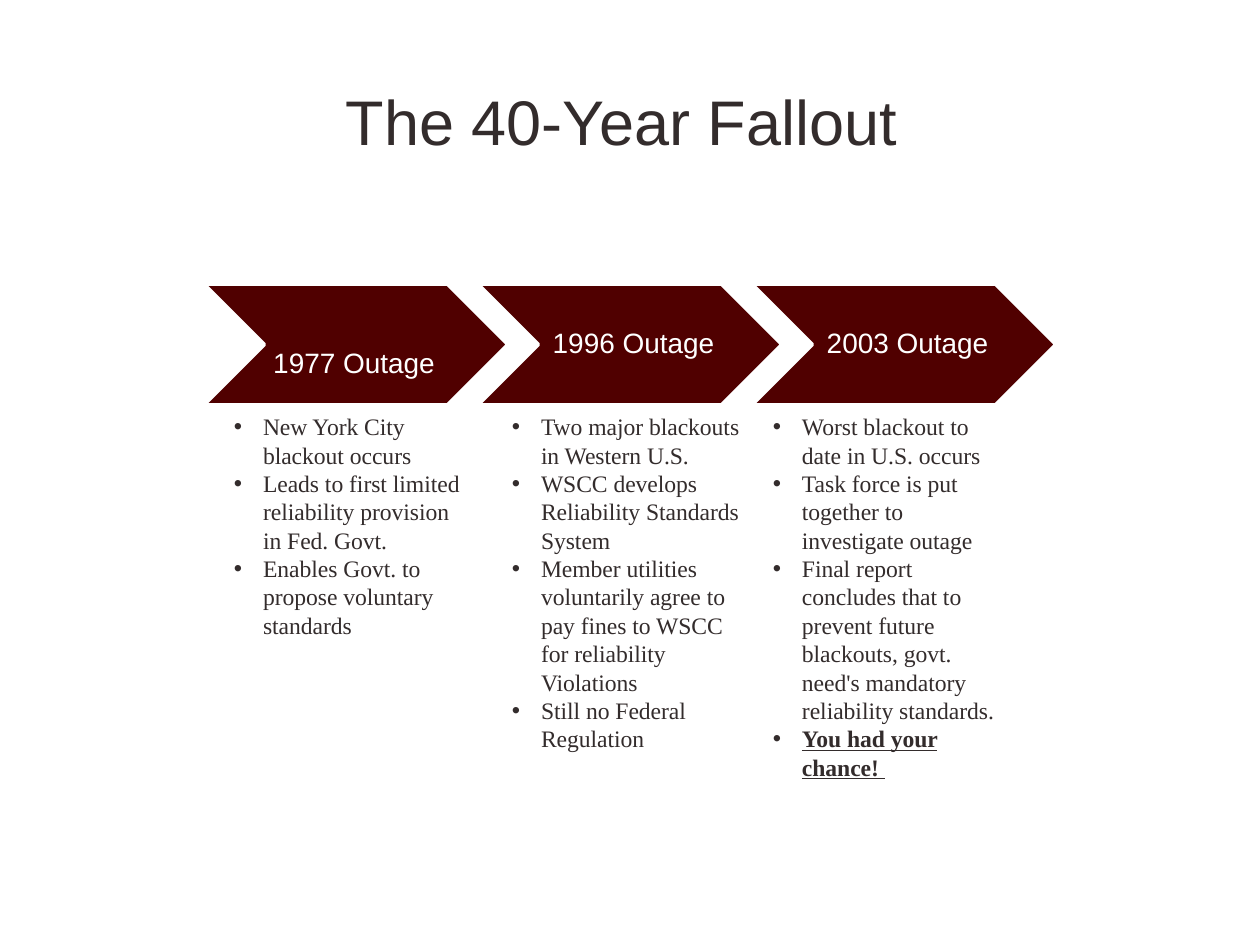
from pptx import Presentation
from pptx.dml.color import RGBColor
from pptx.enum.shapes import MSO_SHAPE
from pptx.enum.text import MSO_ANCHOR, PP_ALIGN
from pptx.util import Emu, Pt
from lxml import etree

PX = 914400 // 126
INK = RGBColor(0x33, 0x2C, 0x2C)
MAROON = RGBColor(0x50, 0x00, 0x00)
WHITE = RGBColor(0xFF, 0xFF, 0xFF)
CHEVRON = MSO_SHAPE.CHEVRON
TOP, MIDDLE = MSO_ANCHOR.TOP, MSO_ANCHOR.MIDDLE
LEFT, CENTER = PP_ALIGN.LEFT, PP_ALIGN.CENTER
NS = "{http://schemas.openxmlformats.org/drawingml/2006/main}"


def px(*lengths):
    return [Emu(n * PX) for n in lengths]


def add_text(box, lines, size, font="Arial", color=INK, align=CENTER,
             anchor=MIDDLE, insets=(13, 6, 13, 6), spacing=None,
             indent=0, strong=""):
    tf = slide.shapes.add_textbox(*px(*box)).text_frame
    tf.word_wrap = True
    tf.vertical_anchor = anchor
    (tf.margin_left, tf.margin_top,
     tf.margin_right, tf.margin_bottom) = px(*insets)
    for i, line in enumerate(lines):
        p = tf.paragraphs[0] if i == 0 else tf.add_paragraph()
        p.alignment = align
        if spacing:
            p.line_spacing = spacing
        if indent:
            pPr = p._p.get_or_add_pPr()
            pPr.set("marL", str(indent * PX))
            pPr.set("indent", str(-indent * PX))
            etree.SubElement(pPr, NS + "buFont").set("typeface", "Arial")
            etree.SubElement(pPr, NS + "buChar").set("char", "•")
        r = p.add_run()
        r.text = line
        r.font.size = Pt(size)
        r.font.name = font
        r.font.color.rgb = color
        if line == strong:
            r.font.bold = r.font.underline = True


prs = Presentation()
prs.slide_width, prs.slide_height = px(1260, 945)
slide = prs.slides.add_slide(prs.slide_layouts[6])

# Title
add_text((63, 45, 1134, 150), ["The 40-Year Fallout"], 36,
         insets=(6, 6, 23, 6))

# Outages: label, label insets, column left and height, bullets
WARNING = "You had your chance! "
outages = [
    ("1977 Outage", (0, 43, 5, 3), 221, 271, [
        "New York City blackout occurs",
        "Leads to first limited reliability provision in Fed. Govt.",
        "Enables Govt. to propose voluntary standards"]),
    ("1996 Outage", (9, 3, 3, 3), 499, 357, [
        "Two major blackouts in Western U.S.",
        "WSCC develops Reliability Standards System",
        "Member utilities voluntarily agree to pay fines to WSCC "
        "for reliability Violations",
        "Still no Federal Regulation"]),
    ("2003 Outage", (9, 3, 3, 3), 760, 384, [
        "Worst blackout to date in U.S. occurs",
        "Task force is put together to investigate outage",
        "Final report concludes that to prevent future blackouts, "
        "govt. need's mandatory reliability standards.",
        WARNING]),
]

for i, (label, insets, left, height, bullets) in enumerate(outages):
    # Chevron and its label
    x = 204 + 274 * i
    sp = slide.shapes.add_shape(CHEVRON, *px(x, 284, 304, 121))
    sp.shadow.inherit = False
    sp.fill.solid()
    sp.fill.fore_color.rgb = MAROON
    sp.line.color.rgb = WHITE
    sp.line.width = Pt(2)
    add_text((x + 61, 284, 183, 121), [label], 16, color=WHITE,
             insets=insets, spacing=0.9)

    # Bullets below
    add_text((left, 406, 261, height), bullets, 13.5, font="Times New Roman",
             align=LEFT, anchor=TOP, spacing=Pt(16.2), indent=29,
             strong=WARNING)

prs.save("out.pptx")
